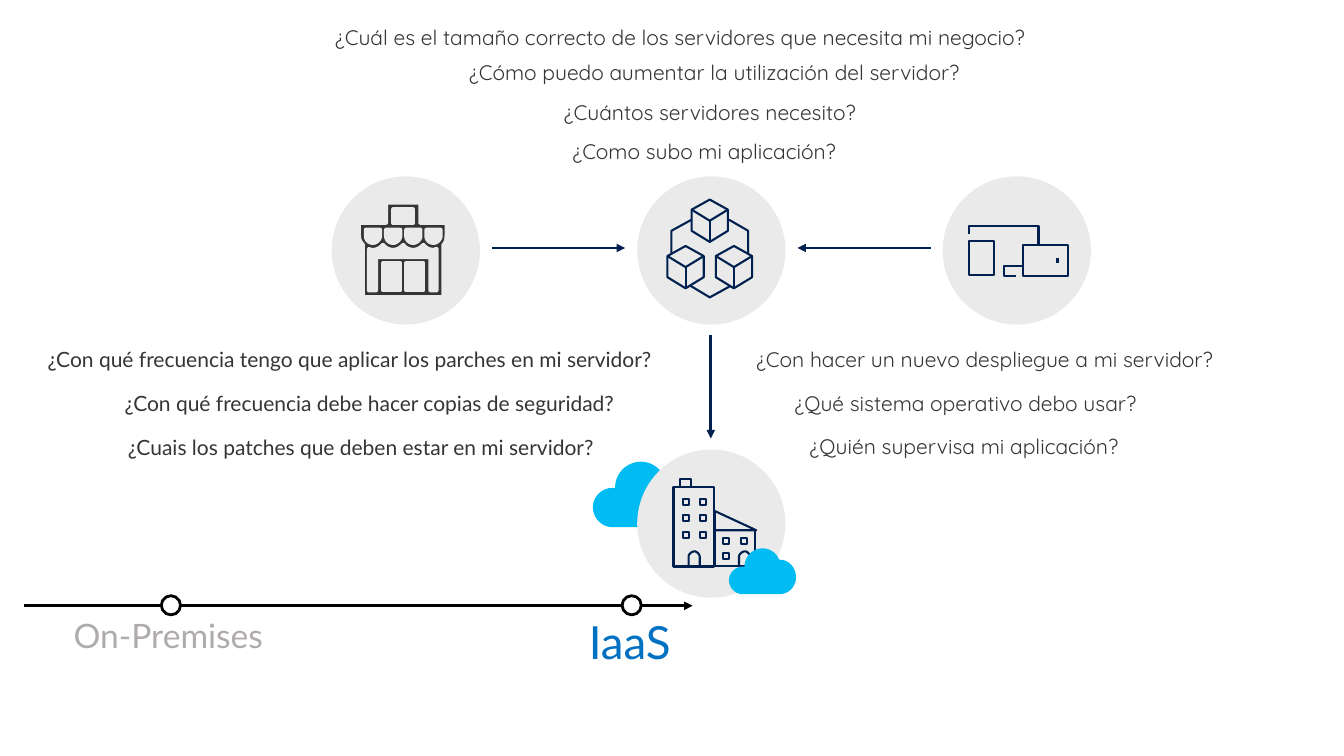
"""Build the slide on moving from On-Premises to IaaS."""
from dataclasses import dataclass

from pptx import Presentation
from pptx.dml.color import RGBColor
from pptx.enum.shapes import MSO_CONNECTOR as Connector, MSO_SHAPE as Preset
from pptx.enum.text import MSO_AUTO_SIZE as AutoSize, PP_ALIGN as Align
from pptx.oxml.ns import qn
from pptx.util import Inches, Pt
from lxml.etree import SubElement


@dataclass(frozen=True)
class Theme:
    ink: str = "353535"
    navy: str = "002050"
    disc: str = "EAEAEA"
    cloud: str = "00BCF2"
    accent: str = "0070C0"
    muted: str = "AFABAB"
    axis: str = "000000"
    white: str = "FFFFFF"
    label_font: str = "Lato"
    question_font: str = "Quicksand"
    question_size: float = 15
    current_size: float = 32.6
    past_size: float = 24
    thin: float = 1.5
    bold: float = 2
    halo: float = 3


THEME = Theme()

STAGES = [
    ("IaaS", 5.64, 5.99, 1.25, 0.83, THEME.current_size, THEME.accent),
    ("On-Premises", 0.53, 5.99, 2.33, 0.69, THEME.past_size, THEME.muted),
]
MILESTONES = [1.6, 6.17]
PATCH_QUESTIONS = [
    ("¿Con qué frecuencia tengo que aplicar los parches en mi servidor?", 0.24, 3.39, 6.46),
    ("¿Con qué frecuencia debe hacer copias de seguridad?", 1.07, 3.82, 5.19),
    ("¿Cuais los patches que deben estar en mi servidor?", 0.95, 4.26, 5.26),
]
SIZING_QUESTIONS = [
    ("¿Cuál es el tamaño correcto de los servidores que necesita mi negocio?", 2.77, 0.19, 7.95),
    ("¿Cómo puedo aumentar la utilización del servidor?", 3.97, 0.54, 6.23),
    ("¿Cuántos servidores necesito?", 4.93, 0.94, 4.22),
    ("¿Como subo mi aplicación?", 5.16, 1.32, 3.65),
]
OPERATION_QUESTIONS = [
    ("¿Con hacer un nuevo despliegue a mi servidor?", 7.4, 3.39, 5.41),
    ("¿Qué sistema operativo debo usar?", 7.78, 3.82, 4.16),
    ("¿Quién supervisa mi aplicación?", 7.93, 4.25, 4.57),
]
QUESTION_GROUPS = [
    (PATCH_QUESTIONS, THEME.label_font, Align.CENTER),
    (SIZING_QUESTIONS, THEME.question_font, Align.CENTER),
    (OPERATION_QUESTIONS, THEME.question_font, Align.LEFT),
]
FLOWS = [((4.88, 2.46), (6.2, 2.46)), ((9.23, 2.46), (7.91, 2.46)), ((7.05, 3.32), (7.05, 4.35))]

CLOUD = [
    (0.22, 0.26), (0.22, 0.12, 0.33, 0, 0.48, 0), (0.58, 0, 0.68, 0.07, 0.71, 0.16),
    (0.85, 0.16, 0.95, 0.27, 0.95, 0.41), (0.95, 0.54, 0.85, 0.65, 0.71, 0.65), (0.19, 0.65),
    (0.09, 0.65, 0, 0.56, 0, 0.45), (0, 0.35, 0.09, 0.26, 0.19, 0.26),
]
ARCH = [(0, 0.14), (0, 0.05), (0, 0.03, 0.03, 0, 0.06, 0), (0.08, 0, 0.11, 0.03, 0.11, 0.05), (0.11, 0.14)]
CUBES = [(7.1, 2.44), (6.62, 2.44), (6.86, 1.98)]
CUBE_OUTLINE = [(0, 0.1), (0.18, 0), (0.36, 0.1), (0.36, 0.31), (0.18, 0.42), (0, 0.31)]
CUBE_FOLD = [(0.36, 0.1), (0.18, 0.21), (0, 0.1)]
CUBE_LINKS = [
    [(7.24, 2.84), (7.04, 2.95), (6.84, 2.83)],
    [(7.23, 2.18), (7.42, 2.29), (7.42, 2.52)],
    [(6.66, 2.52), (6.66, 2.29), (6.86, 2.18)],
]
DEVICE_CABLES = [
    [(10.15, 2.64), (9.96, 2.64), (9.96, 2.74), (10.08, 2.74)],
    [(9.61, 2.32), (9.61, 2.24), (10.3, 2.24), (10.3, 2.43)],
]
SHOP_OUTLINE = [
    (3.6, 2.95), (4.4, 2.95), (4.4, 2.43), (4.42, 2.41, 4.43, 2.38, 4.43, 2.34), (4.43, 2.21),
    (4.17, 2.21), (4.17, 2.01), (3.83, 2.01), (3.83, 2.21), (3.56, 2.21), (3.56, 2.34),
    (3.56, 2.38, 3.58, 2.41, 3.6, 2.43),
]
SHOP_WALL = [
    (4.27, 2.88), (4.27, 2.55), (3.73, 2.55), (3.73, 2.88), (3.66, 2.88), (3.66, 2.47),
    (3.67, 2.48, 3.69, 2.48, 3.7, 2.48), (3.74, 2.48, 3.77, 2.46, 3.8, 2.43),
    (3.82, 2.46, 3.86, 2.48, 3.9, 2.48), (3.94, 2.48, 3.97, 2.46, 4, 2.43),
    (4.02, 2.46, 4.06, 2.48, 4.1, 2.48), (4.14, 2.48, 4.17, 2.46, 4.2, 2.43),
    (4.22, 2.46, 4.26, 2.48, 4.3, 2.48), (4.33, 2.47), (4.33, 2.88),
]
SCALLOP = [(0, 0), (0.14, 0), (0.14, 0.06), (0.14, 0.1, 0.1, 0.13, 0.07, 0.13), (0.03, 0.13, 0, 0.1, 0, 0.06)]


def paint(shape, fill=None, line=None, weight=THEME.thin):
    shape.shadow.inherit = False
    if fill:
        shape.fill.solid()
        shape.fill.fore_color.rgb = RGBColor.from_string(fill)
    else:
        shape.fill.background()
    if line:
        shape.line.color.rgb = RGBColor.from_string(line)
        shape.line.width = Pt(weight)
    else:
        shape.line.fill.background()


def add_preset(shapes, preset, box, **style):
    shape = shapes.add_shape(preset, *map(Inches, box))
    paint(shape, **style)
    return shape


def flatten(path, origin=(0, 0), scale=1, steps=10):
    points = [path[0]]
    for node in path[1:]:
        if len(node) == 2:
            points.append(node)
            continue
        control = [points[-1], node[:2], node[2:4], node[4:]]
        for step in range(1, steps + 1):
            t = step / steps
            weights = ((1 - t) ** 3, 3 * t * (1 - t) ** 2, 3 * t * t * (1 - t), t ** 3)
            points.append(tuple(sum(w * p[axis] for w, p in zip(weights, control)) for axis in (0, 1)))
    return [tuple(Inches(o + scale * v) for o, v in zip(origin, point)) for point in points]


def add_outline(shapes, contours, closed=False, **style):
    builder = shapes.build_freeform(*contours[0][0])
    for index, contour in enumerate(contours):
        if index:
            builder.move_to(*contour[0])
        builder.add_line_segments(contour[1:], close=closed)
    paint(builder.convert_to_shape(), **style)


def add_line(shapes, start, end, color=THEME.navy, weight=THEME.bold, arrow=False):
    connector = shapes.add_connector(Connector.STRAIGHT, *map(Inches, start + end))
    connector.line.color.rgb = RGBColor.from_string(color)
    connector.line.width = Pt(weight)
    properties = connector._element.spPr
    if arrow:
        SubElement(properties.find(qn("a:ln")), qn("a:tailEnd"), type="triangle")
    SubElement(properties, qn("a:effectLst"))


def add_text(shapes, content, box, font, size, color, align=Align.LEFT, inset=(0.1, 0.05), wrap=True, spacing=1, after=0):
    frame = shapes.add_textbox(*map(Inches, box)).text_frame
    frame.word_wrap = wrap
    frame.auto_size = AutoSize.SHAPE_TO_FIT_TEXT
    frame.margin_left = frame.margin_right = Inches(inset[0])
    frame.margin_top = frame.margin_bottom = Inches(inset[1])
    paragraph = frame.paragraphs[0]
    paragraph.alignment, paragraph.line_spacing, paragraph.space_after = align, spacing, Pt(after)
    run = paragraph.add_run()
    run.text = content
    run.font.name, run.font.size = font, Pt(size)
    run.font.color.rgb = RGBColor.from_string(color)


def start_icon(shapes, left, top):
    icon = shapes.add_group_shape().shapes
    add_preset(icon, Preset.OVAL, (left, top, 1.47, 1.47), fill=THEME.disc)
    return icon


def draw_office(shapes):
    icon = start_icon(shapes, 6.32, 4.46)
    windows = [(x, y, 0.06, 0.06) for y in (5.28, 5.11, 4.95) for x in (6.77, 6.94)]
    windows += [(x, y, 0.06, 0.06) for x, y in ((7.17, 5.34), (7.35, 5.34), (7.17, 5.49))]
    for box in [(6.68, 4.83, 0.4, 0.79), (6.74, 4.75, 0.11, 0.08), (7.09, 5.26, 0.4, 0.36)] + windows:
        add_preset(icon, Preset.RECTANGLE, box, line=THEME.navy)
    for left in (6.83, 7.33):
        add_outline(icon, [flatten(ARCH, (left, 5.47))], line=THEME.navy)
    roof = add_preset(icon, Preset.ISOSCELES_TRIANGLE, (7.09, 5.07, 0.41, 0.19), line=THEME.navy)
    roof.adjustments[0] = 0


def draw_cubes(shapes):
    icon = start_icon(shapes, 6.32, 1.75)
    for left, top in CUBES:
        add_outline(icon, [flatten(CUBE_OUTLINE, (left, top))], closed=True, line=THEME.navy)
        add_outline(icon, [flatten(CUBE_FOLD, (left, top))], line=THEME.navy)
        add_line(icon, (left + 0.18, top + 0.21), (left + 0.18, top + 0.42), weight=THEME.thin)
    for link in CUBE_LINKS:
        add_outline(icon, [flatten(link)], line=THEME.navy)


def draw_shop(shapes):
    icon = start_icon(shapes, 3.29, 1.75)
    panes = [(3.8, 2.61, 3.97, 2.88), (4.03, 2.61, 4.2, 2.88), (3.9, 2.08, 4.1, 2.21)]
    contours = [flatten(SHOP_OUTLINE), flatten(SHOP_WALL)]
    contours += [flatten([(x1, y1), (x2, y1), (x2, y2), (x1, y2)]) for x1, y1, x2, y2 in panes]
    contours += [flatten(SCALLOP, (3.63 + 0.2 * index, 2.28)) for index in range(4)]
    add_outline(icon, contours, closed=True, fill=THEME.ink, line=THEME.disc, weight=THEME.halo)


def draw_devices(shapes):
    icon = start_icon(shapes, 9.35, 1.75)
    for box in ((9.61, 2.39, 0.25, 0.34), (10.15, 2.43, 0.44, 0.31)):
        add_preset(icon, Preset.RECTANGLE, box, line=THEME.navy)
    add_line(icon, (10.49, 2.61), (10.49, 2.56))
    for cable in DEVICE_CABLES:
        add_outline(icon, [flatten(cable)], line=THEME.navy)


def main():
    deck = Presentation()
    deck.slide_width, deck.slide_height = Inches(13.33), Inches(7.5)
    shapes = deck.slides.add_slide(deck.slide_layouts[6]).shapes
    for name, left, top, width, height, size, color in STAGES:
        add_text(shapes, name, (left, top, width, height), THEME.label_font, size, color,
                 inset=(0.2, 0.16), wrap=False, spacing=0.9, after=6)
    add_line(shapes, (0.24, 6.01), (6.87, 6.01), color=THEME.axis, arrow=True)
    for left in MILESTONES:
        add_preset(shapes, Preset.OVAL, (left, 5.91, 0.19, 0.19), fill=THEME.white, line=THEME.axis, weight=THEME.bold)
    add_outline(shapes, [flatten(CLOUD, (5.88, 4.58))], closed=True, fill=THEME.cloud)
    for questions, font, align in QUESTION_GROUPS:
        for question, left, top, width in questions:
            add_text(shapes, question, (left, top, width, 0.35), font, THEME.question_size, THEME.ink, align=align)
    for draw in (draw_office, draw_cubes, draw_shop, draw_devices):
        draw(shapes)
    for start, end in FLOWS:
        add_line(shapes, start, end, arrow=True)
    add_outline(shapes, [flatten(CLOUD, (7.23, 5.44), scale=0.7)], closed=True, fill=THEME.cloud)
    deck.save("out.pptx")


if __name__ == "__main__":
    main()
